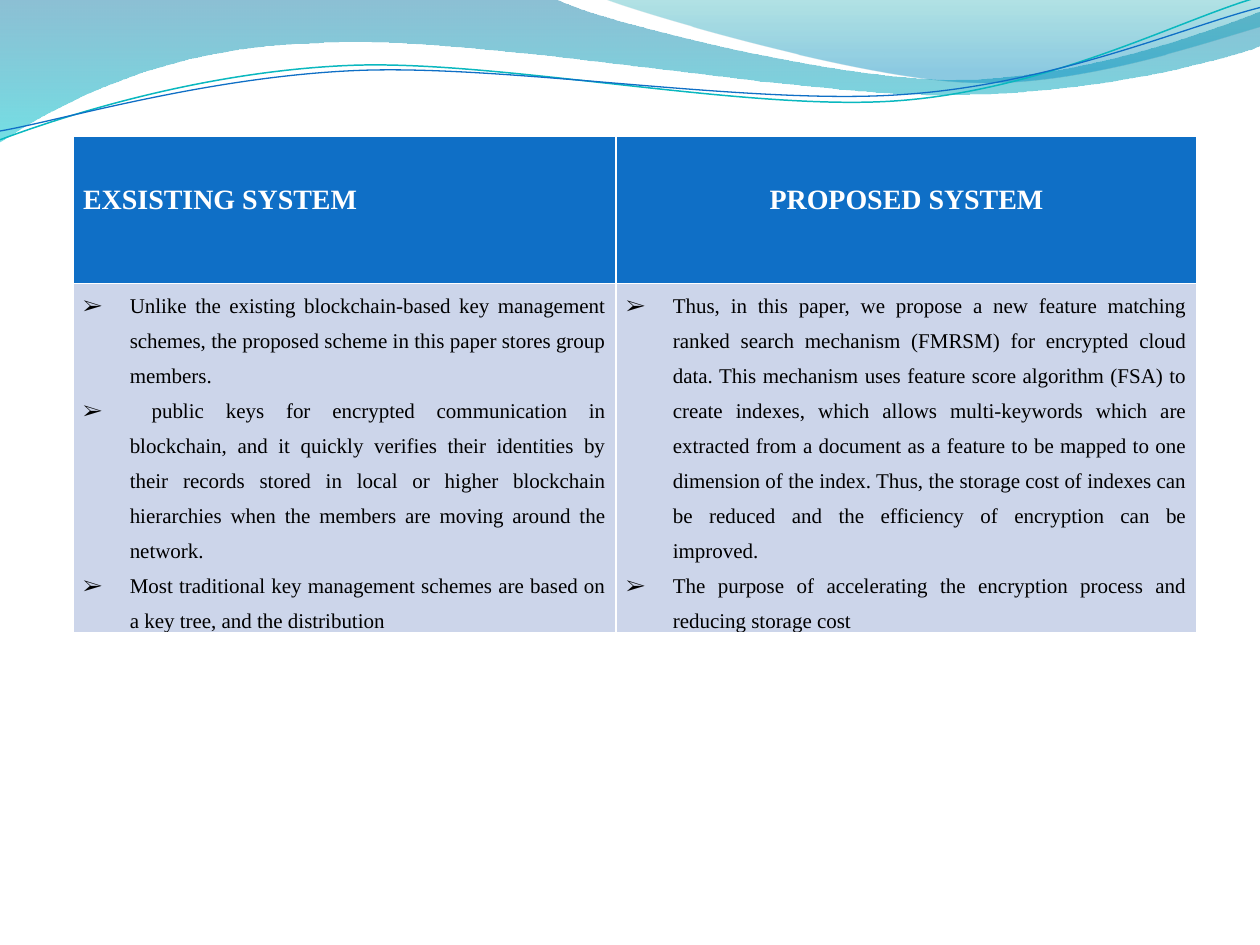
import pptx
import pptx.dml.color
import pptx.enum.text
import pptx.oxml
import pptx.oxml.ns
import pptx.util

Inches = pptx.util.Inches
Pt = pptx.util.Pt
ALIGN = pptx.enum.text.PP_ALIGN
FONT = "Times New Roman"

WAVES = [
    {"start": (0, 0),
     "segments": [[(4.4, -0.01)],
                  [(4.76, 0.17), (6.64, 0.63), (7.58, 0.63)],
                  [(8.53, 0.63), (9.58, 0.26), (10, 0.09)],
                  [(10.01, 0.36)],
                  [(9.83, 0.44), (8.7, 0.76), (7.46, 0.75)],
                  [(6.22, 0.75), (3.82, 0.28), (2.57, 0.34)],
                  [(1.29, 0.36), (0.46, 0.83), (-0.01, 1.13)],
                  [(0, 0)]],
     "stops": [(0, "0074A1", 45), (1, "00C6CF", 55)]},
    {"start": (4.79, -0.01),
     "segments": [[(5.09, 0.11), (6.82, 0.62), (7.69, 0.65)],
                  [(8.56, 0.69), (9.61, 0.32), (10, 0.21)],
                  [(10, 0)],
                  [(4.79, -0.01)]],
     "stops": [(0, "00A1A9", 30), (0.8, "008BBF", 45)]},
    {"start": (0, 1.11),
     "segments": [[(0.48, 0.93), (1.58, 0.57), (2.77, 0.52)],
                  [(3.95, 0.47), (5.93, 0.89), (7.13, 0.8)],
                  [(8.33, 0.71), (9.38, 0.15), (9.98, -0.02)]],
     "line": ("0AB8BF", 0.85)},
    {"start": (0, 1.04),
     "segments": [[(0.47, 0.96), (1.64, 0.61), (2.83, 0.56)],
                  [(4.03, 0.51), (5.97, 0.84), (7.17, 0.75)],
                  [(8.36, 0.67), (9.41, 0.21), (10, 0.06)]],
     "line": ("0F6FC6", 0.75)},
]

HEADINGS = [("EXSISTING SYSTEM", ALIGN.LEFT), ("PROPOSED SYSTEM", ALIGN.CENTER)]
POINTS = [
    ["Unlike the existing blockchain-based key management schemes, the proposed scheme "
     "in this paper stores group members.",
     " public keys for encrypted communication in blockchain, and it quickly verifies "
     "their identities by their records stored in local or higher blockchain hierarchies "
     "when the members are moving around the network.",
     "Most traditional key management schemes are based on a key tree, and the distribution"],
    ["Thus, in this paper, we propose a new feature matching ranked search mechanism "
     "(FMRSM) for encrypted cloud data. This mechanism uses feature score algorithm (FSA) "
     "to create indexes, which allows multi-keywords which are extracted from a document "
     "as a feature to be mapped to one dimension of the index. Thus, the storage cost of "
     "indexes can be reduced and the efficiency of encryption can be improved.",
     "The purpose of accelerating the encryption process and reducing storage cost"],
]
COLUMN_WIDTHS = [4.31, 4.61]
ROW_HEIGHTS = [1.17, 2.26]
INDENT = 0.37
HEADING_FORMAT = {"size": Pt(16), "bold": True}
POINT_FORMAT = {"size": Pt(12), "bold": False}


def color(value):
    return pptx.dml.color.RGBColor.from_string(value)


def set_values(target, values):
    for name, value in values.items():
        setattr(target, name, value)


def add_drawing_element(parent, tag, **attributes):
    element = pptx.oxml.parse_xml(f"<a:{tag} {pptx.oxml.ns.nsdecls('a')}/>")
    for name, value in attributes.items():
        element.set(name, str(value))
    parent.append(element)
    return element


def bend_segments(shape, segments):
    path_element = next(shape.element.iter(pptx.oxml.ns.qn("a:path")))
    lines = iter(path_element.findall(pptx.oxml.ns.qn("a:lnTo")))
    for segment in segments:
        members = [next(lines) for point in segment]
        if len(members) == 1:
            continue
        curve = add_drawing_element(path_element, "cubicBezTo")
        members[0].addprevious(curve)
        for member in members:
            curve.append(member[0])
            path_element.remove(member)


def add_wave(slide, wave):
    points = [wave["start"], *(point for segment in wave["segments"] for point in segment)]
    first, *rest = [(Inches(x), Inches(y)) for x, y in points]
    builder = slide.shapes.build_freeform(*first)
    builder.add_line_segments(rest, close="stops" in wave)
    shape = builder.convert_to_shape()
    bend_segments(shape, wave["segments"])
    shape.shadow.inherit = False
    if "line" in wave:
        line_color, width = wave["line"]
        shape.fill.background()
        shape.line.color.rgb = color(line_color)
        shape.line.width = Pt(width)
        return
    shape.line.fill.background()
    shape.fill.gradient()
    shape.fill.gradient_angle = 270
    for stop, (position, value, opacity) in zip(shape.fill.gradient_stops, wave["stops"]):
        stop.position = position
        stop.color.rgb = color(value)
    color_elements = shape.element.spPr.iter(pptx.oxml.ns.qn("a:srgbClr"))
    for element, (position, value, opacity) in zip(color_elements, wave["stops"]):
        add_drawing_element(element, "alpha", val=opacity * 1000)


def format_cell(cell, fill, margin_top=0):
    set_values(cell, {"margin_left": Inches(0.08), "margin_right": Inches(0.08),
                      "margin_top": Inches(margin_top), "margin_bottom": 0})
    cell.fill.solid()
    cell.fill.fore_color.rgb = color(fill)


def write(paragraph, text, font_format, text_color, layout):
    run = paragraph.add_run()
    run.text = text
    set_values(run.font, {"name": FONT, **font_format})
    run.font.color.rgb = color(text_color)
    set_values(paragraph, layout)


def add_bullet(paragraph):
    properties = paragraph._p.get_or_add_pPr()
    properties.set("marL", str(Inches(INDENT)))
    properties.set("indent", str(-Inches(INDENT)))
    add_drawing_element(properties, "buFont", typeface=FONT)
    add_drawing_element(properties, "buChar", char="➢")


def add_comparison(slide):
    table = slide.shapes.add_table(2, 2, Inches(0.58), Inches(1.08),
                                   Inches(sum(COLUMN_WIDTHS)),
                                   Inches(sum(ROW_HEIGHTS))).table
    table.horz_banding = False
    for row, height in zip(table.rows, ROW_HEIGHTS):
        row.height = Inches(height)
    for index, ((heading, alignment), points) in enumerate(zip(HEADINGS, POINTS)):
        table.columns[index].width = Inches(COLUMN_WIDTHS[index])
        head, body = table.cell(0, index), table.cell(1, index)
        format_cell(head, "0F6FC6", margin_top=0.35)
        write(head.text_frame.paragraphs[0], heading, HEADING_FORMAT, "FFFFFF",
              {"alignment": alignment, "line_spacing": 1.15, "space_after": Pt(10)})
        format_cell(body, "CCD5EA")
        for number, point in enumerate(points):
            frame = body.text_frame
            paragraph = frame.add_paragraph() if number else frame.paragraphs[0]
            space_after = Pt(10) if point == points[-1] else Pt(0)
            write(paragraph, point, POINT_FORMAT, "000000",
                  {"alignment": ALIGN.JUSTIFY, "line_spacing": 1.5,
                   "space_after": space_after})
            add_bullet(paragraph)


def main():
    presentation = pptx.Presentation()
    set_values(presentation, {"slide_width": Inches(10), "slide_height": Inches(7.5)})
    slide = presentation.slides.add_slide(presentation.slide_layouts[6])
    for wave in WAVES:
        add_wave(slide, wave)
    add_comparison(slide)
    presentation.save("out.pptx")


if __name__ == "__main__":
    main()
